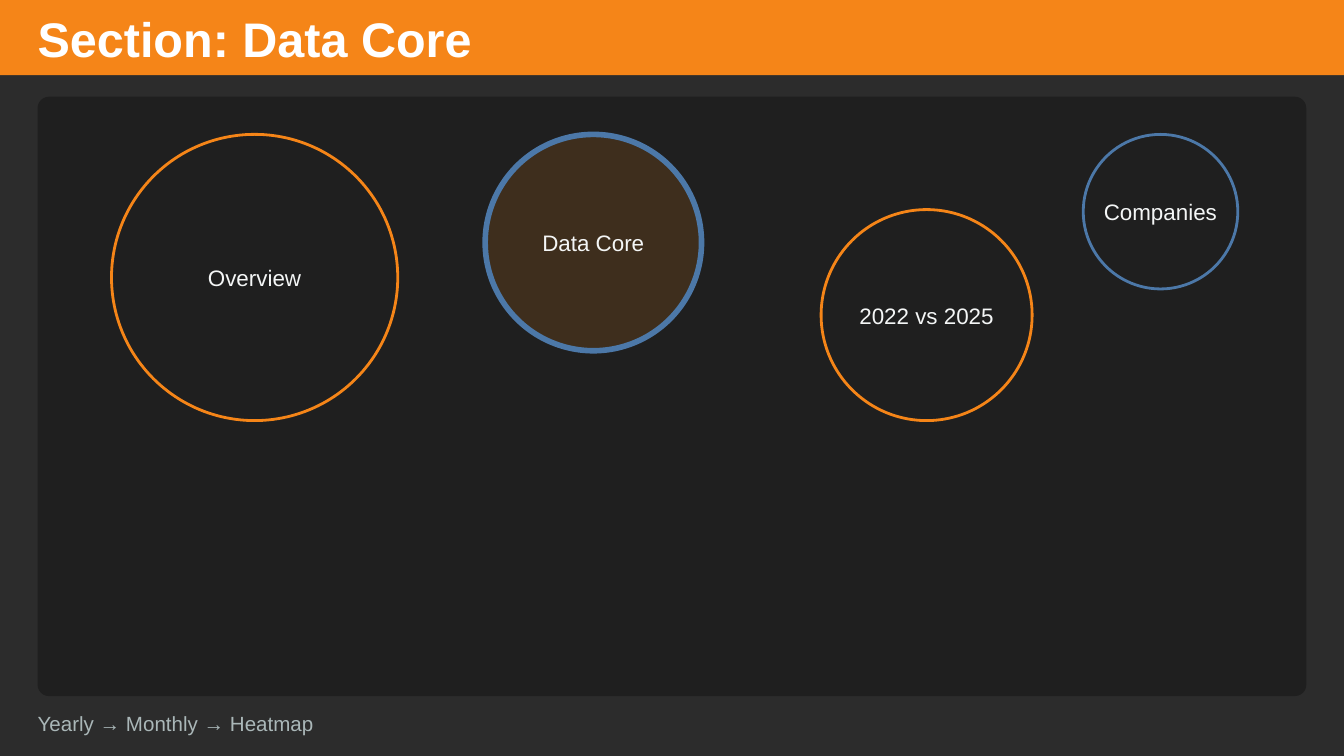
from dataclasses import dataclass

from lxml import etree
from pptx import Presentation
from pptx.dml.color import RGBColor
from pptx.enum.shapes import MSO_SHAPE
from pptx.enum.text import MSO_ANCHOR, MSO_AUTO_SIZE, PP_ALIGN
from pptx.oxml.ns import qn
from pptx.util import Inches, Pt

RECT, ROUND, OVAL = MSO_SHAPE.RECTANGLE, MSO_SHAPE.ROUNDED_RECTANGLE, MSO_SHAPE.OVAL
LEFT, CENTER = PP_ALIGN.LEFT, PP_ALIGN.CENTER
MIDDLE, NO_FIT = MSO_ANCHOR.MIDDLE, MSO_AUTO_SIZE.NONE


@dataclass(frozen=True)
class Theme:
    font: str = "Arial"
    back: str = "2C2C2C"
    panel: str = "1F1F1F"
    orange: str = "F58518"
    blue: str = "4C78A8"
    white: str = "FFFFFF"
    label: str = "F4F6F6"
    muted: str = "AAB7B8"
    title_size: int = 26
    label_size: int = 12
    foot_size: int = 11


theme = Theme()


def add_shape(kind, left, top, width, height, fill=None):
    """Add a shape without shadow or outline, filled if a colour is given."""
    shape = slide.shapes.add_shape(
        kind, Inches(left), Inches(top), Inches(width), Inches(height))
    shape.shadow.inherit = False
    shape.line.fill.background()
    if fill:
        shape.fill.solid()
        shape.fill.fore_color.rgb = RGBColor.from_string(fill)
    else:
        shape.fill.background()
    return shape


def set_text(shape, text, size, color, align=LEFT, bold=False, wrap=True):
    frame = shape.text_frame
    frame.text = text
    frame.auto_size = NO_FIT
    frame.word_wrap = wrap
    frame.vertical_anchor = MIDDLE
    frame.margin_left = frame.margin_right = 0
    frame.margin_top = frame.margin_bottom = 0
    para = frame.paragraphs[0]
    para.alignment = align
    font = para.runs[0].font
    font.name, font.size, font.bold = theme.font, Pt(size), bold
    font.color.rgb = RGBColor.from_string(color)


deck = Presentation()
deck.slide_width = Inches(10)
deck.slide_height = deck.slide_width * 9 // 16
slide = deck.slides.add_slide(deck.slide_layouts[5])
slide.background.fill.solid()
slide.background.fill.fore_color.rgb = RGBColor.from_string(theme.back)

# Header bar, with the title in front of it
bar = add_shape(RECT, 0, 0, 10, 0.56, theme.orange)
title = slide.shapes.title
title.left, title.top = Inches(0.28), Inches(0.08)
title.width, title.height = Inches(3.6), Inches(0.41)
set_text(title, "Section: Data Core", theme.title_size, theme.white, bold=True)
bar.element.addnext(title.element)

panel = add_shape(ROUND, 0.28, 0.72, 9.44, 4.46, theme.panel)
panel.adjustments[0] = 0.019

# Circles: label, left, top, diameter, line colour, active
circles = [
    ("Overview", 0.83, 1, 2.13, theme.orange, False),
    ("Data Core", 3.61, 1, 1.61, theme.blue, True),
    ("2022 vs 2025", 6.11, 1.56, 1.57, theme.orange, False),
    ("Companies", 8.06, 1, 1.15, theme.blue, False),
]
for name, left, top, size, color, active in circles:
    circle = add_shape(OVAL, left, top, size, size, theme.orange if active else None)
    circle.line.color.rgb = RGBColor.from_string(color)
    circle.line.width = Pt(3 if active else 1.5)
    set_text(circle, name, theme.label_size, theme.label, CENTER, wrap=False)
    if active:
        tint = circle.element.spPr.find(qn("a:solidFill"))[0]
        etree.SubElement(tint, qn("a:alpha"), val="15000")

foot = slide.shapes.add_textbox(Inches(0.28), Inches(5.3), Inches(9.63), Inches(0.17))
set_text(foot, "Yearly → Monthly → Heatmap", theme.foot_size, theme.muted)

deck.save("out.pptx")
